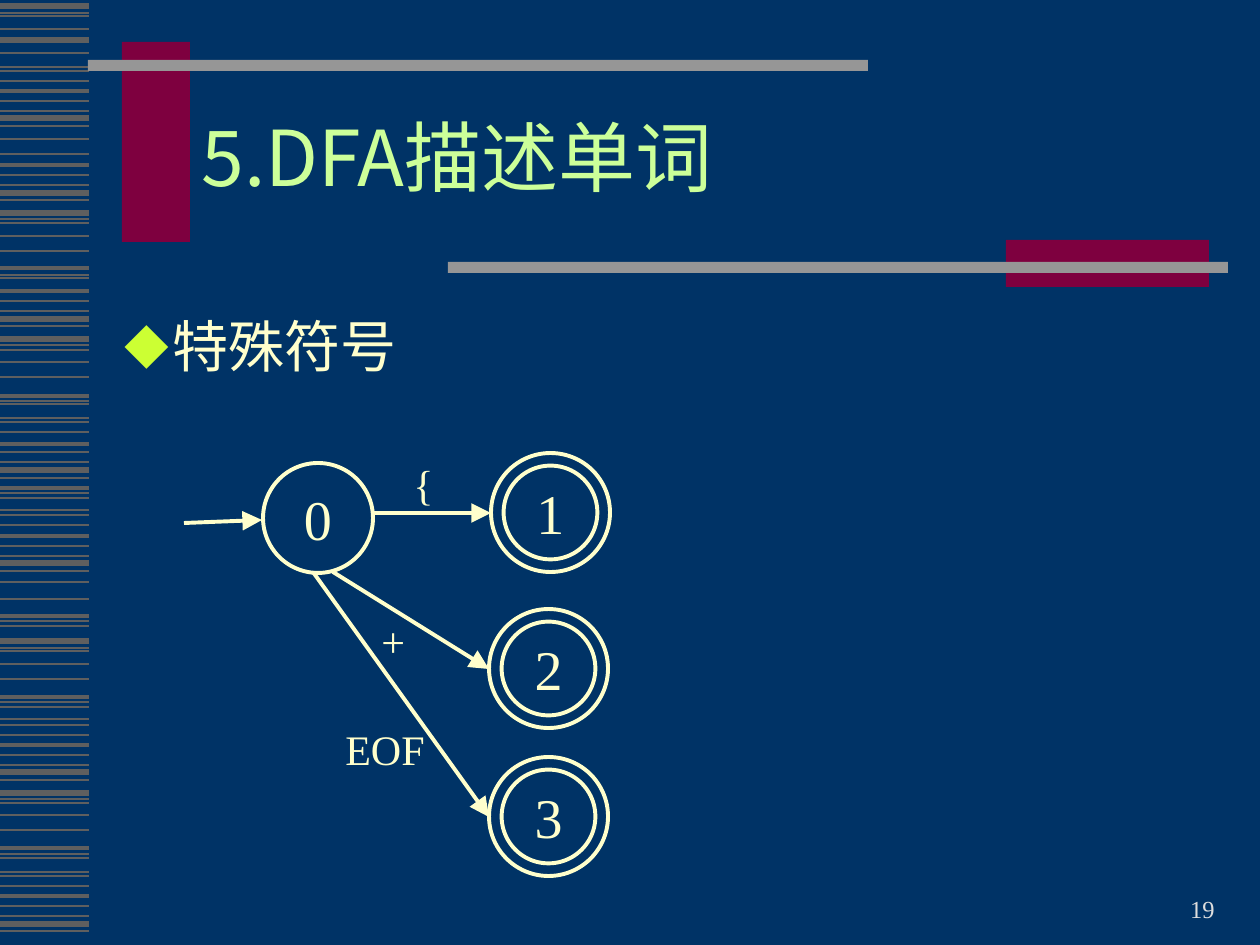
from lxml import etree
from pptx import Presentation
from pptx.dml.color import RGBColor
from pptx.enum.shapes import MSO_CONNECTOR, MSO_SHAPE
from pptx.enum.text import MSO_ANCHOR, PP_ALIGN
from pptx.oxml.ns import qn
from pptx.util import Emu, Pt

RECTANGLE, OVAL, DONUT = MSO_SHAPE.RECTANGLE, MSO_SHAPE.OVAL, MSO_SHAPE.DONUT
STRAIGHT = MSO_CONNECTOR.STRAIGHT
LEFT, CENTER, RIGHT = PP_ALIGN.LEFT, PP_ALIGN.CENTER, PP_ALIGN.RIGHT
TOP, MIDDLE, BOTTOM = MSO_ANCHOR.TOP, MSO_ANCHOR.MIDDLE, MSO_ANCHOR.BOTTOM
CREAM, MAROON, GRAY = "FFFFCC", "7E003F", "969696"
SERIF, SANS = "Times New Roman", "Noto Sans CJK SC"
color = RGBColor.from_string


def px(*lengths):
    return [Emu(round(length * 914400 / 126)) for length in lengths]


def write(shape, text, size=32, font=SERIF, ink=CREAM, align=LEFT,
          anchor=TOP, wrap=True, spacing=None, bullet=None):
    frame = shape.text_frame
    frame.word_wrap = wrap
    frame.vertical_anchor = anchor
    paragraph = frame.paragraphs[0]
    paragraph.alignment = align
    if spacing:
        paragraph.line_spacing = spacing
    if bullet:
        properties = paragraph._p.get_or_add_pPr()
        indent = px(48)[0]
        properties.set("marL", str(indent))
        properties.set("indent", str(-indent))
        bullet_color = etree.SubElement(properties, qn("a:buClr"))
        etree.SubElement(bullet_color, qn("a:srgbClr"), val="CCFF33")
        etree.SubElement(properties, qn("a:buSzPct"), val="80000")
        etree.SubElement(properties, qn("a:buFont"), typeface=SANS)
        etree.SubElement(properties, qn("a:buChar"), char=bullet)
    run = paragraph.add_run()
    run.text = text
    run.font.size = Pt(size)
    run.font.name = font
    run.font.color.rgb = color(ink)
    etree.SubElement(run._r.get_or_add_rPr(), qn("a:ea"), typeface=SANS)


presentation = Presentation()
presentation.slide_width, presentation.slide_height = px(1260, 945)
slide = presentation.slides.add_slide(presentation.slide_layouts[5])
slide.background.fill.solid()
slide.background.fill.fore_color.rgb = color("003366")
shapes = slide.shapes

# Lines: stripes down the left edge, then the arrows between states
stripes = {
    0.75: [13, 67, 111, 185, 219, 275, 311, 345, 401, 418, 462, 493, 510,
           556, 621, 648, 702, 719, 765, 799, 854, 872, 916],
    1: [16, 29, 81, 139, 154, 223, 236, 251, 350, 362, 377, 432, 525,
        582, 599, 651, 664, 679, 735, 803, 815, 830, 886],
    1.5: [53, 71, 101, 126, 175, 200, 278, 301, 326, 404, 422, 452, 478,
          498, 515, 546, 571, 626, 707, 725, 755, 780, 858, 876, 906, 931],
    2.25: [91, 165, 268, 291, 396, 444, 488, 536, 616, 697, 745, 848, 896],
    3: [6, 40, 118, 193, 213, 319, 339, 470, 563, 641, 772, 793, 924],
}
arrows = [(184, 523, 262, 520), (372, 513, 491, 513),
          (333, 572, 489, 669), (313, 572, 489, 817)]
lines = [((0, y, 89, y), weight, "5F5F5F", False)
         for weight, tops in stripes.items() for y in tops]
lines += [(ends, 2.25, CREAM, True) for ends in arrows]
for ends, weight, ink, has_head in lines:
    connector = shapes.add_connector(STRAIGHT, *px(*ends))
    connector.line.color.rgb = color(ink)
    connector.line.width = Pt(weight)
    if has_head:
        etree.SubElement(connector.line._get_or_add_ln(), qn("a:tailEnd"),
                         type="triangle", w="lg", len="lg")
    etree.SubElement(connector._element.spPr, qn("a:effectLst"))

# Bars around the title
for box, fill in [((122, 42, 68, 200), MAROON), ((88, 60, 780, 11), GRAY),
                  ((1006, 240, 203, 47), MAROON), ((448, 262, 780, 11), GRAY)]:
    bar = shapes.add_shape(RECTANGLE, *px(*box))
    bar.shadow.inherit = False
    bar.fill.solid()
    bar.fill.fore_color.rgb = color(fill)
    bar.line.fill.background()

# Title
title = shapes.title
title.left, title.top, title.width, title.height = px(189, 84, 1017, 158)
write(title, "5.DFA描述单词", size=44, font=SANS, ink="CCFF99",
      anchor=MIDDLE, spacing=0.85)

# Body line, arrow labels and slide number
for text, box, style in [
    ("特殊符号", (112, 305, 1096, 534), {"bullet": "◆"}),
    ("{", (401, 452, 91, 63), {"size": 24}),
    ("+", (369, 609, 91, 63), {"size": 24}),
    ("EOF", (333, 717, 136, 63), {"size": 24}),
    ("19", (925, 867, 302, 63),
     {"size": 14, "ink": "DDDDDD", "align": RIGHT, "anchor": BOTTOM}),
]:
    write(shapes.add_textbox(*px(*box)), text, **style)

# States: a circle for the start, rings for the accepting ones
for name, kind, left, top, size in [
    ("0", OVAL, 263, 463, 110), ("1", DONUT, 491, 453, 119),
    ("2", DONUT, 489, 609, 119), ("3", DONUT, 489, 757, 119),
]:
    state = shapes.add_shape(kind, *px(left, top, size, size))
    state.shadow.inherit = False
    state.fill.background()
    state.line.color.rgb = color(CREAM)
    state.line.width = Pt(2.25)
    if kind == DONUT:
        state.adjustments[0] = 0.106
    write(state, name, align=CENTER, anchor=MIDDLE, wrap=False)

presentation.save("out.pptx")
